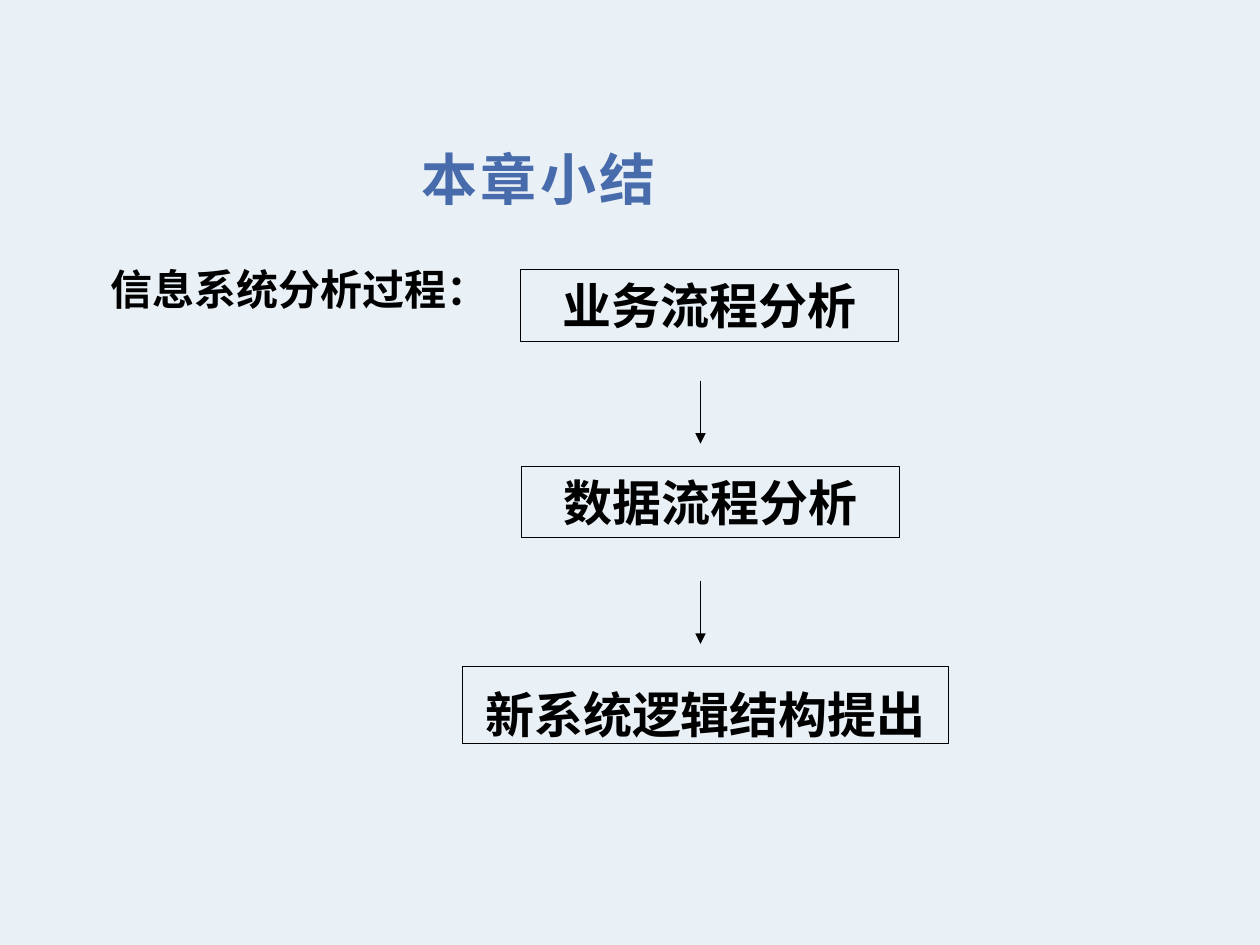
import pptx
import pptx.dml.color
import pptx.enum.shapes
import pptx.enum.text
import pptx.oxml
import pptx.oxml.ns
import pptx.util

Pt = pptx.util.Pt
FONT = "Times New Roman"
COLORS = {"background": "EAF1F6", "title": "476BAB", "ink": "000000"}


def rgb(name):
    return pptx.dml.color.RGBColor.from_string(COLORS[name])


def place(sp, box):
    sp.left, sp.top, sp.width, sp.height = map(Pt, box)


def write(sp, text, size, color="ink", align="LEFT", anchor="TOP",
          grow=True, line_spacing=None, tracking=None):
    tf = sp.text_frame
    tf.word_wrap = True
    sizing = pptx.enum.text.MSO_AUTO_SIZE
    tf.auto_size = sizing.SHAPE_TO_FIT_TEXT if grow else sizing.NONE
    tf.vertical_anchor = getattr(pptx.enum.text.MSO_ANCHOR, anchor)
    p = tf.paragraphs[0]
    p.alignment = getattr(pptx.enum.text.PP_ALIGN, align)
    p.line_spacing = line_spacing
    r = p.add_run()
    r.text = text
    r.font.name = FONT
    r.font.size = Pt(size)
    r.font.bold = True
    r.font.color.rgb = rgb(color)
    if tracking:
        r._r.get_or_add_rPr().set("spc", str(tracking * 100))


def add_title(s, box):
    sp = s.shapes.title
    place(sp, box)
    write(sp, "本章小结", 32, color="title", align="CENTER",
          anchor="MIDDLE", grow=False, tracking=2)


def add_label(s, box):
    sp = s.shapes.add_textbox(*map(Pt, box))
    write(sp, "信息系统分析过程：", 24)


def add_step(s, box, text, line_spacing=None):
    sp = s.shapes.add_shape(pptx.enum.shapes.MSO_SHAPE.RECTANGLE, *map(Pt, box))
    sp.shadow.inherit = False
    sp.fill.background()
    sp.line.color.rgb = rgb("ink")
    sp.line.width = Pt(0.75)
    write(sp, text, 28, align="CENTER", line_spacing=line_spacing)


def add_arrow(s, x, top, length):
    c = s.shapes.add_connector(pptx.enum.shapes.MSO_CONNECTOR.STRAIGHT,
                               Pt(x), Pt(top), Pt(x), Pt(top + length))
    c.line.color.rgb = rgb("ink")
    c.line.width = Pt(0.75)
    ns = pptx.oxml.ns.nsdecls("a")
    c.line._get_or_add_ln().append(
        pptx.oxml.parse_xml(f'<a:tailEnd {ns} type="triangle"/>'))
    c._element.spPr.append(pptx.oxml.parse_xml(f"<a:effectLst {ns}/>"))


def add_flow(s, box):
    left, top, width, height = box
    steps = [
        ("业务流程分析", 33.1, 0, 216, 41, None),
        ("数据流程分析", 33.8, 112.3, 216, 41, None),
        ("新系统逻辑结构提出", 0, height - 43.9, width, 43.9, 1.2),
    ]
    for text, dx, dy, w, h, spacing in steps:
        add_step(s, (left + dx, top + dy, w, h), text, spacing)
    for dy in (63.4, 177.8):
        add_arrow(s, left + 136.1, top + dy, 36)


def main():
    prs = pptx.Presentation()
    prs.slide_width, prs.slide_height = Pt(720), Pt(540)
    s = prs.slides.add_slide(prs.slide_layouts[5])
    fill = s.background.fill
    fill.solid()
    fill.fore_color.rgb = rgb("background")
    add_title(s, (57.6, 83.5, 500.4, 36.7))
    add_label(s, (56.2, 146.9, 257.8, 36))
    add_flow(s, (264.2, 154.1, 277.9, 270.7))
    prs.save("out.pptx")


if __name__ == "__main__":
    main()
